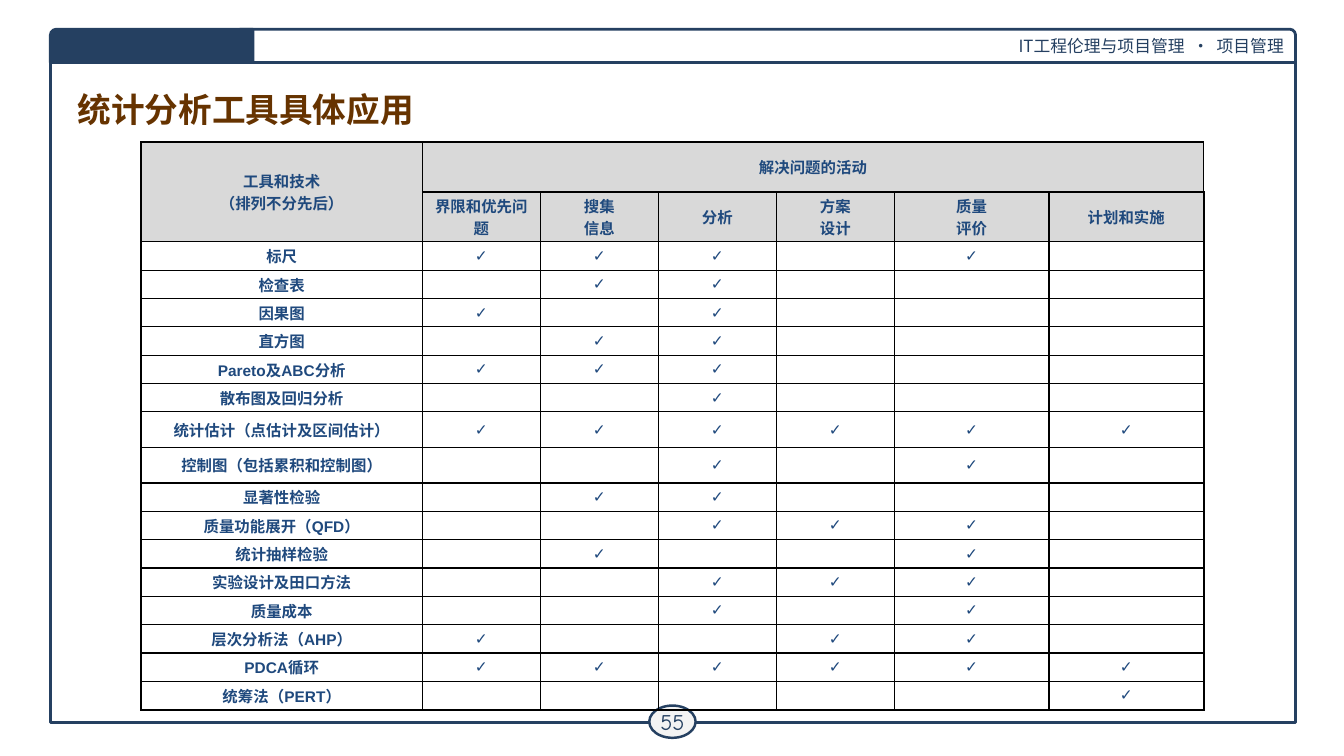
from lxml.etree import SubElement
from pptx import Presentation
from pptx.dml.color import RGBColor
from pptx.enum.shapes import MSO_SHAPE as Shape
from pptx.enum.text import MSO_ANCHOR as Anchor, MSO_AUTO_SIZE as AutoSize, PP_ALIGN as Align
from pptx.oxml.ns import qn
from pptx.util import Inches, Pt

WIDTH, HEIGHT = Inches(13.33), Inches(7.5)
NAVY, BLUE, BROWN, GREY = "254061", "1F497D", "663300", "D9D9D9"
CJK_FONT = "Noto Sans CJK SC"
COLUMN_SHARES = [20.93] + [8.78] * 4 + [11.51] * 2
HEADER_SHARE, TOOL_SHARE, TALL_SHARE = 6.6, 3.75, 4.7
TALL_TOOLS = ("统计估计", "控制图")
ACTIVITIES = ["界限和优先问题", "搜集\n信息", "分析", "方案\n设计", "质量\n评价", "计划和实施"]
TOOLS = [
    ("标尺", [1, 2, 3, 5]),
    ("检查表", [2, 3]),
    ("因果图", [1, 3]),
    ("直方图", [2, 3]),
    ("Pareto及ABC分析", [1, 2, 3]),
    ("散布图及回归分析", [3]),
    ("统计估计（点估计及区间估计）", [1, 2, 3, 4, 5, 6]),
    ("控制图（包括累积和控制图）", [3, 5]),
    ("显著性检验", [2, 3]),
    ("质量功能展开（QFD）", [3, 4, 5]),
    ("统计抽样检验", [2, 5]),
    ("实验设计及田口方法", [3, 4, 5]),
    ("质量成本", [3, 5]),
    ("层次分析法（AHP）", [1, 4, 5]),
    ("PDCA循环", [1, 2, 3, 4, 5, 6]),
    ("统筹法（PERT）", [6]),
]


def color(value):
    return RGBColor.from_string(value)


def across(share):
    return int(WIDTH * share / 100)


def down(share):
    return int(HEIGHT * share / 100)


def area(left, top, width, height):
    return across(left), down(top), across(width), down(height)


def write(frame, text, size, font, ink, align, bold=False):
    frame.text = text
    for para in frame.paragraphs:
        para.alignment = align
        for span in para.runs:
            span.font.size = Pt(size)
            span.font.name = font
            span.font.bold = bold
            span.font.color.rgb = color(ink)
            SubElement(span.font._element, qn("a:ea"), typeface=CJK_FONT)


def add_box(page, kind, place, fill=None, line_width=2):
    box = page.shapes.add_shape(kind, *place)
    box.shadow.inherit = False
    if fill:
        box.fill.solid()
        box.fill.fore_color.rgb = color(fill)
    else:
        box.fill.background()
    box.line.color.rgb = color(NAVY)
    box.line.width = Pt(line_width)
    box.text_frame.vertical_anchor = Anchor.MIDDLE
    return box


def add_frame(page):
    add_box(page, Shape.RECTANGLE, area(3.75, 6.67, 92.65, 88.93))
    banner = add_box(page, Shape.ROUND_1_RECTANGLE, area(17.85, 3.87, 78.54, 4.4), "FFFFFF")
    write(banner.text_frame, "IT工程伦理与项目管理  ·  项目管理", 12, CJK_FONT, NAVY, Align.RIGHT)
    tab = add_box(page, Shape.ROUND_1_RECTANGLE, area(3.75, 3.87, 15.08, 4.4), NAVY)
    tab.adjustments[0] = 0.18
    tab._element.spPr.find(qn("a:xfrm")).set("flipH", "1")


def add_page_number(page):
    badge = add_box(page, Shape.OVAL, area(48.31, 93.33, 3.45, 4.27), "F3F3F3", 1.75)
    frame = badge.text_frame
    frame.margin_left = frame.margin_right = frame.margin_top = frame.margin_bottom = Inches(0.04)
    frame.word_wrap = False
    write(frame, "55", 16, "Comic Neue", NAVY, Align.CENTER)


def set_title(page):
    title = page.shapes.title
    title.left, title.top, title.width, title.height = area(5.03, 11.2, 90.02, 6.4)
    frame = title.text_frame
    frame.auto_size = AutoSize.NONE
    frame.vertical_anchor = Anchor.MIDDLE
    write(frame, "统计分析工具具体应用", 24, "Cambria", BROWN, Align.LEFT, True)


def set_borders(cell, outer_edges):
    properties = cell._tc.get_or_add_tcPr()
    for edge in "LRTB":
        points = 1.5 if edge in outer_edges else 1
        line = SubElement(properties, qn(f"a:ln{edge}"), w=str(Pt(points)))
        SubElement(SubElement(line, qn("a:solidFill")), qn("a:srgbClr"), val="000000")


def fill_cell(cell, text, outer_edges, fill):
    cell.margin_left = cell.margin_right = Inches(0.06)
    cell.margin_top = cell.margin_bottom = 0
    cell.vertical_anchor = Anchor.MIDDLE
    set_borders(cell, outer_edges)
    if fill:
        cell.fill.solid()
        cell.fill.fore_color.rgb = color(fill)
    else:
        cell.fill.background()
    if text:
        write(cell.text_frame, text, 11, "Arial", BLUE, Align.CENTER, True)
    else:
        SubElement(cell.text_frame.paragraphs[0]._p, qn("a:endParaRPr"), sz="1100")


def add_tool_table(page):
    rows = [["工具和技术\n（排列不分先后）", "解决问题的活动"] + [""] * 5, [""] + ACTIVITIES]
    heights = [HEADER_SHARE] * 2
    for name, marks in TOOLS:
        rows.append([name] + ["✓" if column in marks else "" for column in range(1, 7)])
        heights.append(TALL_SHARE if name.startswith(TALL_TOOLS) else TOOL_SHARE)
    place = area(10.5, 18.8, sum(COLUMN_SHARES), sum(heights))
    table = page.shapes.add_table(len(rows), len(COLUMN_SHARES), *place).table
    for column, share in zip(table.columns, COLUMN_SHARES):
        column.width = across(share)
    for row, share in zip(table.rows, heights):
        row.height = down(share)
    last_row, last_column = len(rows) - 1, len(COLUMN_SHARES) - 1
    for r, texts in enumerate(rows):
        for c, text in enumerate(texts):
            sides = {"L": c == 0, "R": c == last_column, "T": r == 0, "B": r == last_row}
            outer_edges = [edge for edge, outer in sides.items() if outer]
            fill_cell(table.cell(r, c), text, outer_edges, GREY if r < 2 else None)
    table.cell(0, 0).merge(table.cell(1, 0))
    table.cell(0, 1).merge(table.cell(0, last_column))


def main():
    deck = Presentation()
    deck.slide_width, deck.slide_height = WIDTH, HEIGHT
    page = deck.slides.add_slide(deck.slide_layouts[5])
    add_frame(page)
    add_page_number(page)
    set_title(page)
    add_tool_table(page)
    deck.save("out.pptx")


if __name__ == "__main__":
    main()
